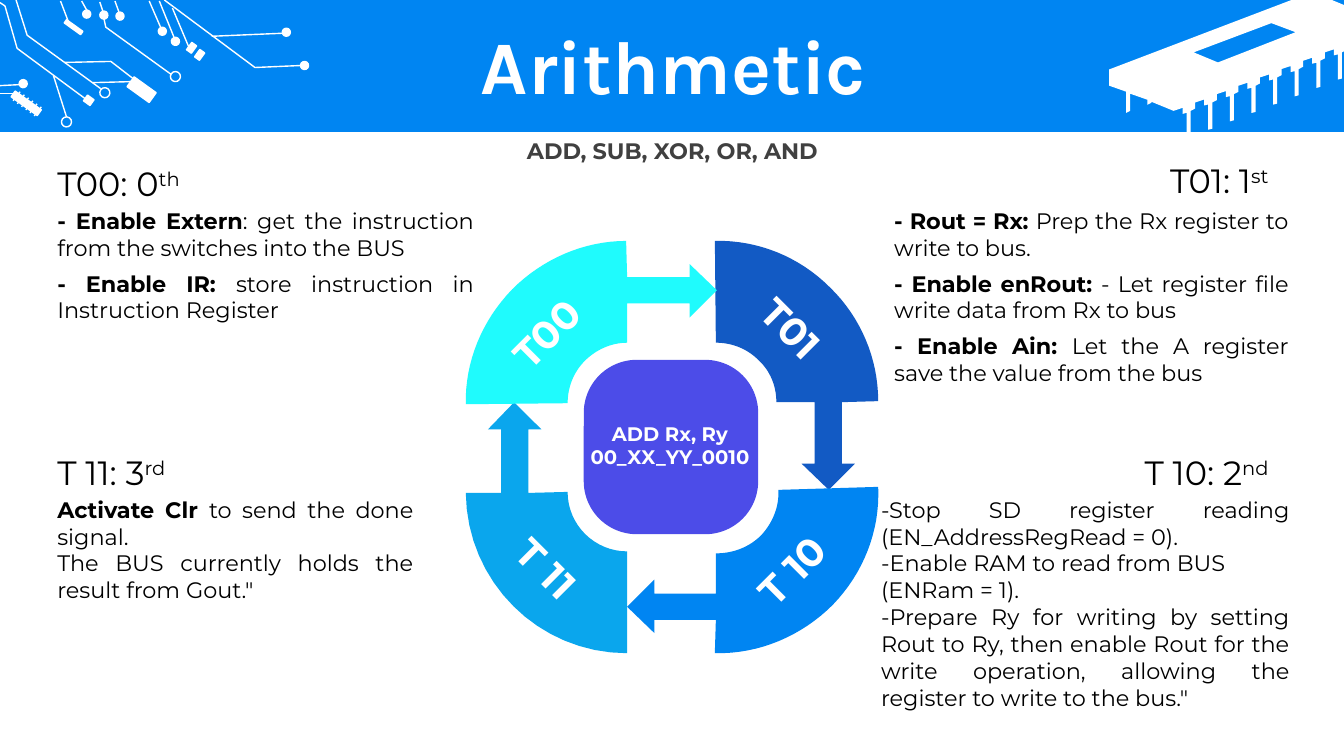
from lxml import etree
from pptx import Presentation, util as u
from pptx.dml.color import RGBColor
from pptx.enum import shapes, text
from pptx.oxml import ns

Inches = u.Inches
SHAPE = shapes.MSO_SHAPE
ALIGN = text.PP_ALIGN
TOP, MIDDLE = text.MSO_ANCHOR.TOP, text.MSO_ANCHOR.MIDDLE
WHITE, BLACK = "FFFFFF", "000000"

presentation = Presentation()
presentation.slide_width, presentation.slide_height = Inches(13.33), Inches(7.5)
slide = presentation.slides.add_slide(presentation.slide_layouts[6])


def paint(shape, fill=None, line=None):
    shape.shadow.inherit = False
    for target, color in ((shape.fill, fill), (shape.line.fill, line)):
        if color:
            target.solid()
            target.fore_color.rgb = RGBColor.from_string(color)
        else:
            target.background()
    if line:
        shape.line.width = u.Pt(1)
    return shape


def add_text(box, paragraphs, size, color=BLACK, align=ALIGN.LEFT, anchor=TOP,
             before=0, rotation=0, font="Montserrat"):
    shape = slide.shapes.add_textbox(*map(Inches, box))
    shape.rotation = rotation
    frame = shape.text_frame
    frame.word_wrap = True
    frame.vertical_anchor = anchor
    for index, runs in enumerate(paragraphs):
        paragraph = frame.paragraphs[0] if index == 0 else frame.add_paragraph()
        paragraph.alignment = align
        paragraph.space_before = u.Pt(before if index else 0)
        paragraph.font.name = font
        paragraph.font.size = u.Pt(size)
        paragraph.font.color.rgb = RGBColor.from_string(color)
        for content, style in runs:
            run = paragraph.add_run()
            run.text = content
            run.font.name = font
            run.font.size = u.Pt(size)
            run.font.color.rgb = RGBColor.from_string(color)
            run.font.bold = style == "bold"
            if style == "super":
                run.font._element.set("baseline", "30000")
    return shape


banner = slide.shapes.add_shape(SHAPE.RECTANGLE, 0, 0, Inches(13.33), Inches(1.31))
paint(banner, "0085F2")

chip = [(12.81, 0), (13.21, 0), (13.33, 0.05), (13.33, 0.51)]
tooth = [(0, 0), (0, 0.26), (-0.04, 0.27), (-0.04, 0.02),
         (-0.08, 0.03), (-0.08, -0.03), (-0.17, 0), (-0.17, 0.06)]
for number in range(8):
    left, top = 13.31 - number * 1.5 / 7, 0.52 + number * 0.58 / 7
    chip += [(left + x, top + y) for x, y in tooth[:7 if number == 7 else 8]]
chip += [(11.42, 1.01), (11.42, 1.02), (11.38, 1.04), (11.38, 0.99), (11.21, 0.93),
         (11.21, 1.1), (11.17, 1.12), (11.17, 0.91), (11, 0.85), (11, 0.69)]
chip_window = [(12.61, 0.23), (11.84, 0.52), (12.08, 0.62), (12.85, 0.32)]
builder = slide.shapes.build_freeform(Inches(chip[0][0]), Inches(chip[0][1]))
builder.add_line_segments([(Inches(x), Inches(y)) for x, y in chip[1:]])
builder.move_to(Inches(chip_window[0][0]), Inches(chip_window[0][1]))
builder.add_line_segments([(Inches(x), Inches(y)) for x, y in chip_window[1:]])
paint(builder.convert_to_shape(), WHITE)

components = [(1.27, 0.83, 0.27, 0.12), (0.63, 0.25, 0.2, 0.04), (0.84, 0.96, 0.08, 0.07),
              (1.87, 0.43, 0.06, 0.09), (1.95, 0.5, 0.06, 0.09), (0.1, 0.99, 0.32, 0.07)]
pads = [(2.98, 0.61), (2.8, 0.28), (0.82, 0.1), (0.99, 0.11), (1.15, 0.12),
        (0.19, 0.79), (1.7, 0.37), (1.57, 0.27)]
rings = [(1.69, 0.71), (0.99, 0.87), (0.61, 1.16)]
parts = [(SHAPE.RECTANGLE, box, WHITE) for box in components]
parts += [(SHAPE.OVAL, (x, y, 0.08, 0.08), WHITE) for x, y in pads]
parts += [(SHAPE.OVAL, (x, y, 0.1, 0.1), None) for x, y in rings]
for kind, box, fill in parts:
    part = paint(slide.shapes.add_shape(kind, *map(Inches, box)), fill, WHITE)
    part.rotation = 35.7

wires = [(0.6, 0.01, 0.68, 0.22), (0.81, 0.01, 0.86, 0.1), (0.99, 0.02, 1.02, 0.11),
         (1.14, 0.01, 1.18, 0.12), (1.48, 0.01, 1.61, 0.31), (1.58, 0.01, 1.73, 0.38),
         (2.1, 0.36, 2.8, 0.33), (1.71, 0.08, 1.87, 0.46), (-0.01, 0.85, 0.19, 0.84),
         (-0.01, 0.93, 0.14, 0.93), (0.53, 0.75, 0.66, 1.16), (0.92, 0.82, 1.3, 0.81)]
for number in range(6):
    x, y = 0.13 + 0.042 * number, 1 + 0.03 * number
    wires.append((x, y, x + 0.07, y - 0.09))
for ends in wires:
    wire = slide.shapes.add_connector(shapes.MSO_CONNECTOR.STRAIGHT, *map(Inches, ends))
    wire.line.color.rgb = RGBColor.from_string(WHITE)
    wire.line.width = u.Pt(1)
    etree.SubElement(wire._element.spPr, ns.qn("a:effectLst"))

traces = [[(1.63, 0), (2.53, 0.67), (2.99, 0.65)],
          [(0.16, 0), (0.27, 0.35), (1, 0.88)],
          [(-0.01, 0.02), (0.05, 0.06), (0.17, 0.48), (0.86, 0.99)],
          [(0.64, 0.62), (1.1, 0.61), (1.32, 0.78)],
          [(1.03, 0.18), (1.05, 0.27), (1.7, 0.74)]]
for points in traces:
    builder = slide.shapes.build_freeform(*map(Inches, points[0]))
    builder.add_line_segments([(Inches(x), Inches(y)) for x, y in points[1:]], close=False)
    paint(builder.convert_to_shape(), None, WHITE)

add_text((0.35, 0.3, 12.66, 0.79), [[("Arithmetic", "bold")]], 54, WHITE,
         ALIGN.CENTER, MIDDLE, font="Karla").text_frame.paragraphs[0].line_spacing = 0.9

cycle_steps = [
    ("125AC4", [(7.09, 2.39), (7.52, 2.38, 7.93, 2.55, 8.23, 2.85),
                (8.54, 3.15, 8.71, 3.56, 8.71, 3.98), (8.35, 3.99), (8.35, 4.6), (8.48, 4.6),
                (8.22, 4.86), (7.95, 4.6), (8.08, 4.6), (8.08, 3.99), (7.7, 3.99),
                (7.7, 3.83, 7.64, 3.68, 7.52, 3.57), (7.41, 3.46, 7.26, 3.4, 7.1, 3.4)]),
    ("0085F2", [(8.71, 4.83), (8.73, 5.27, 8.56, 5.69, 8.26, 6),
                (7.95, 6.31, 7.53, 6.49, 7.09, 6.48), (7.1, 6.15), (6.49, 6.15), (6.49, 6.28),
                (6.22, 6.02), (6.49, 5.75), (6.49, 5.89), (7.1, 5.89), (7.1, 5.49),
                (7.27, 5.49, 7.43, 5.43, 7.55, 5.31), (7.66, 5.19, 7.73, 5.03, 7.72, 4.86)]),
    ("0AA6ED", [(5.1, 3.99), (5.37, 4.26), (5.24, 4.26), (5.24, 4.89), (5.63, 4.88),
                (5.63, 5.21, 5.9, 5.47, 6.22, 5.47), (6.22, 6.48),
                (5.34, 6.48, 4.63, 5.77, 4.62, 4.89), (4.97, 4.89), (4.97, 4.26), (4.84, 4.26)]),
    ("1FFBFD", [(6.21, 2.39), (6.22, 2.75), (6.84, 2.75), (6.84, 2.62), (7.11, 2.88),
                (6.84, 3.15), (6.84, 3.01), (6.22, 3.01), (6.22, 3.4),
                (6.06, 3.4, 5.91, 3.47, 5.8, 3.58), (5.69, 3.69, 5.63, 3.84, 5.63, 4),
                (4.62, 4.01), (4.61, 3.59, 4.78, 3.18, 5.08, 2.87),
                (5.38, 2.57, 5.79, 2.39, 6.21, 2.39)]),
]
for color, segments in cycle_steps:
    points = [segments[0]]
    for segment in segments[1:]:
        if len(segment) == 2:
            points.append(segment)
            continue
        controls = [points[-1], segment[:2], segment[2:4], segment[4:]]
        for step in range(1, 17):
            t = step / 16
            weights = ((1 - t) ** 3, 3 * t * (1 - t) ** 2, 3 * t * t * (1 - t), t ** 3)
            points.append(tuple(sum(weight * control[axis] for weight, control
                                    in zip(weights, controls)) for axis in (0, 1)))
    builder = slide.shapes.build_freeform(*map(Inches, points[0]))
    builder.add_line_segments([(Inches(x), Inches(y)) for x, y in points[1:]])
    paint(builder.convert_to_shape(), color)

center = slide.shapes.add_shape(SHAPE.ROUNDED_RECTANGLE, *map(Inches, (5.79, 3.57, 1.73, 1.73)))
center.adjustments[0] = 0.304
paint(center, "0000DF")
center_color = center._element.spPr.find(ns.qn("a:solidFill"))[0]
etree.SubElement(center_color, ns.qn("a:alpha")).set("val", "70000")

for label, left, top, rotation in [("T00", 4.87, 3.02, 315), ("T01", 7.3, 2.97, 45),
                                   ("T 11", 4.87, 5.35, 45), ("T 10", 7.3, 5.37, 315)]:
    add_text((left, top, 1.1, 0.57), [[(label, "bold")]], 28, WHITE, ALIGN.CENTER,
             rotation=rotation)

for label, suffix, box, align in [
        ("T00: 0", "th", (0.47, 1.57, 4.15, 0.5), ALIGN.LEFT),
        ("T01: 1", "st ", (8.74, 1.54, 3.99, 0.5), ALIGN.RIGHT),
        ("T 11: 3", "rd", (0.47, 4.43, 4.15, 0.5), ALIGN.LEFT),
        ("T 10: 2", "nd ", (8.74, 4.43, 3.99, 0.5), ALIGN.RIGHT)]:
    add_text(box, [[(label, ""), (suffix, "super")]], 24, align=align, anchor=MIDDLE)

for box, before, paragraphs in [
        ((0.47, 2.01, 4.33, 1.26), 6, [
            ("- Enable Extern", ": get the instruction from the switches into the BUS"),
            ("- Enable IR: ", "store instruction in Instruction Register")]),
        ((8.77, 2.01, 4.11, 1.88), 6, [
            ("- Rout = Rx: ", "Prep the Rx register to write to bus."),
            ("- Enable enRout: ", "- Let register file write data from Rx to bus"),
            ("- Enable Ain: ", "Let the A register save the value from the bus")]),
        ((0.47, 4.87, 3.73, 1.18), 0, [
            ("Activate Clr ", "to send the done signal."),
            ("", "The BUS currently holds the result from Gout.\"")]),
        ((8.64, 4.87, 4.25, 2.26), 0, [
            ("", "-Stop SD register reading (EN_AddressRegRead = 0)."),
            ("", "-Enable RAM to read from BUS"),
            ("", "(ENRam = 1)."),
            ("", "-Prepare Ry for writing by setting Rout to Ry, then enable Rout for the "
                 "write operation, allowing the register to write to the bus.\"")])]:
    add_text(box, [[(content, style) for content, style in ((lead, "bold"), (body, "")) if content]
                   for lead, body in paragraphs], 16, align=ALIGN.JUSTIFY, before=before)

add_text((4.1, 1.31, 5.14, 0.37), [[("ADD, SUB, XOR, OR, AND", "bold")]], 16, "404040",
         ALIGN.CENTER, MIDDLE)
add_text((5.59, 4.13, 2.11, 0.57), [[("ADD Rx, Ry", "bold")], [("00_XX_YY_0010", "bold")]],
         14, WHITE, ALIGN.CENTER, MIDDLE)
presentation.save("out.pptx")
